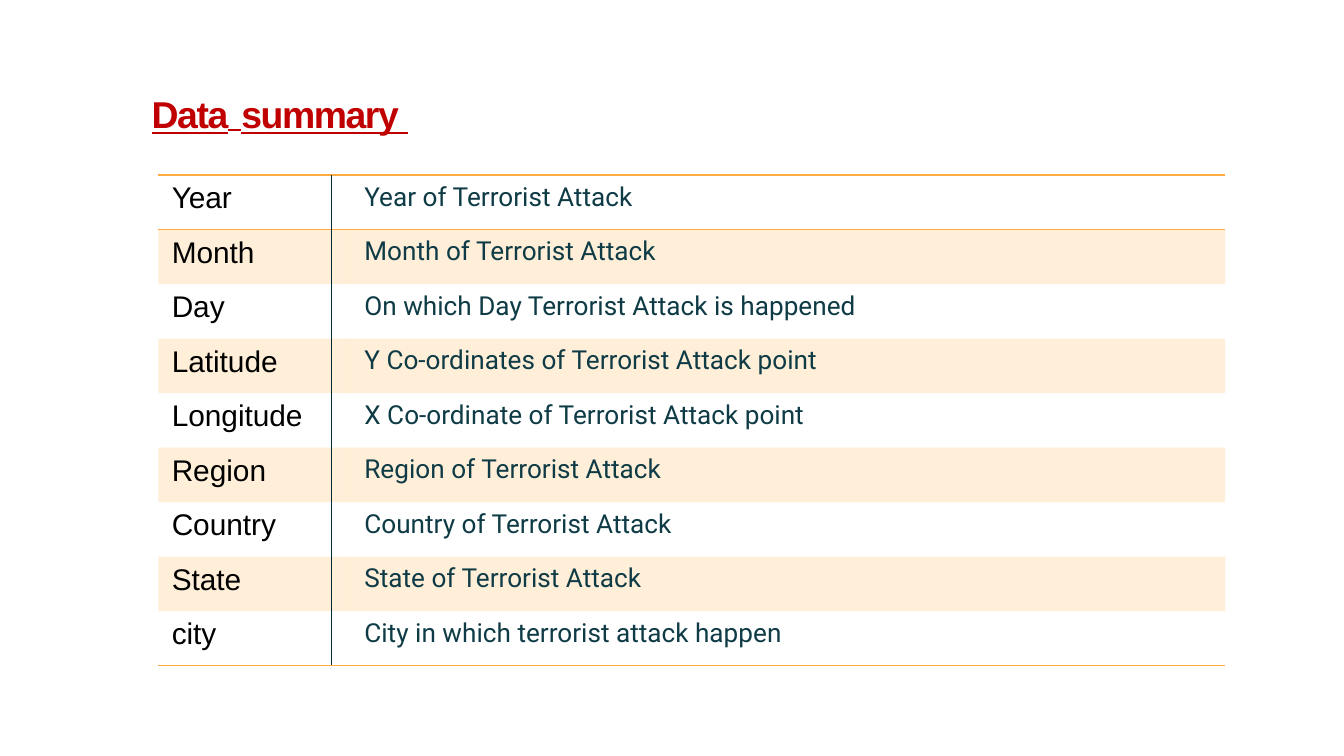
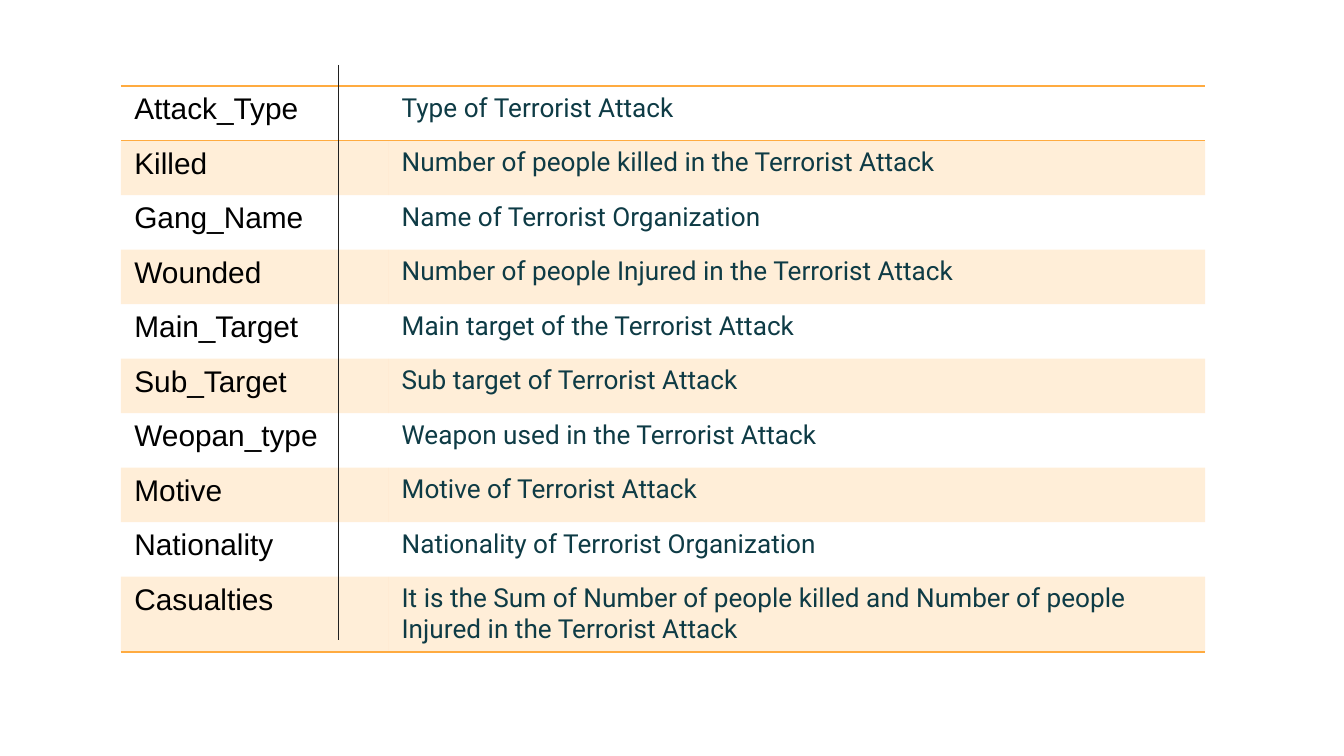
from dataclasses import dataclass

from lxml import etree
from pptx import Presentation
from pptx import util as u
from pptx.dml import color
from pptx.enum import shapes, text
from pptx.oxml import ns

HUES = {"title": "C00000", "band": "FFAB40", "key": "000000", "note": "0E3B45",
        "teal": "002832", "dark": "202020"}
KEY = {"size": u.Pt(16), "name": "Arial"}
NOTE = {"size": u.Pt(14), "name": "Roboto"}
HEAD = {"size": u.Pt(20), "bold": True, "underline": True}
PLAIN = "{2D5ABB26-0587-4C30-8999-92F81FD0307C}"
ROW = 29.2


@dataclass
class Rule:
    x: float
    top: float
    end: float
    hue: str


@dataclass
class Grid:
    left: float
    top: float
    cols: tuple[float, float]
    rows: list[tuple[str, str]]
    rule: Rule


def style(font, look: dict, hue: str) -> None:
    for key, val in look.items():
        setattr(font, key, val)
    font.color.rgb = color.RGBColor.from_string(HUES[hue])


def add(node, tag: str, **attrs: str):
    return etree.SubElement(node, ns.qn(tag), attrs)


def edge(cell, sides: str) -> None:
    props = cell._tc.get_or_add_tcPr()
    for spot, side in enumerate(sides):
        line = add(props, f"a:ln{side}", w=str(u.Pt(1)))
        add(add(line, "a:solidFill"), "a:srgbClr", val=HUES["band"])
        props.insert(spot, line)


def tint(cell) -> None:
    cell.fill.solid()
    cell.fill.fore_color.rgb = color.RGBColor.from_string(HUES["band"])
    add(cell._tc.tcPr.find(".//" + ns.qn("a:srgbClr")), "a:alpha", val="20000")


def draw_title(slide) -> None:
    box = slide.shapes.add_textbox(u.Pt(80.6), u.Pt(48.2), u.Pt(139), u.Pt(25.2))
    frame = box.text_frame
    look = {"margin_left": 0, "margin_right": 0, "margin_bottom": 0,
            "margin_top": u.Pt(0.7), "word_wrap": True,
            "auto_size": text.MSO_AUTO_SIZE.SHAPE_TO_FIT_TEXT}
    for key, val in look.items():
        setattr(frame, key, val)
    para = frame.paragraphs[0]
    para.space_before = u.Pt(1)
    para._p.get_or_add_pPr().set("marL", str(u.Pt(0.7)))
    for words, name in (("Data", "Arial"), (" ", "DejaVu Sans"), ("summary ", "Arial")):
        run = para.add_run()
        run.text = words
        style(run.font, HEAD | {"name": name}, "title")
        run._r.get_or_add_rPr().set("spc", "-80")


def draw_rule(slide, rule: Rule) -> None:
    line = slide.shapes.add_connector(
        shapes.MSO_CONNECTOR.STRAIGHT,
        u.Pt(rule.x), u.Pt(rule.top), u.Pt(rule.x), u.Pt(rule.end))
    line.line.width = u.Pt(0.75)
    line.line.color.rgb = color.RGBColor.from_string(HUES[rule.hue])
    add(line._element.spPr, "a:effectLst")


def draw_grid(slide, grid: Grid) -> None:
    count = len(grid.rows)
    table = slide.shapes.add_table(
        count, 2, u.Pt(grid.left), u.Pt(grid.top),
        u.Pt(sum(grid.cols)), u.Pt(ROW * count)).table
    table.first_row = table.horz_banding = False
    table._tbl.tblPr.find(ns.qn("a:tableStyleId")).text = PLAIN
    for col, width in zip(table.columns, grid.cols):
        col.width = u.Pt(width)
    for num, words in enumerate(grid.rows):
        table.rows[num].height = u.Pt(ROW)
        for col, (look, hue) in enumerate(((KEY, "key"), (NOTE, "note"))):
            cell = table.cell(num, col)
            run = cell.text_frame.paragraphs[0].add_run()
            run.text = words[col]
            style(run.font, look, hue)
            if num % 2:
                tint(cell)
            else:
                cell.fill.background()
            if num == 0:
                edge(cell, "TB")
            elif num == count - 1:
                edge(cell, "B")
    draw_rule(slide, grid.rule)


BASE = Grid(84.8, 93.8, (103.2, 468.3), [
    ("Year", "Year of Terrorist Attack"),
    ("Month", "Month of Terrorist Attack"),
    ("Day", "On which Day Terrorist Attack is happened"),
    ("Latitude", "Y Co-ordinates of Terrorist Attack point"),
    ("Longitude", "X Co-ordinate of Terrorist Attack point"),
    ("Region", "Region of Terrorist Attack"),
    ("Country", "Country of Terrorist Attack"),
    ("State", "State of Terrorist Attack"),
    ("city", "City in which terrorist attack happen"),
], Rule(177.7, 93.8, 356.4, "teal"))

MORE = Grid(64.8, 46.1, (143.2, 437.6), [
    ("Attack_Type ", "Type of Terrorist Attack"),
    ("Killed", "Number of people killed in the Terrorist Attack"),
    ("Gang_Name ", "Name of Terrorist Organization"),
    ("Wounded", "Number of people Injured in the Terrorist Attack"),
    ("Main_Target ", "Main target of the Terrorist Attack"),
    ("Sub_Target ", "Sub target of Terrorist Attack"),
    ("Weopan_type ", "Weapon used in the Terrorist Attack"),
    ("Motive", "Motive of Terrorist Attack"),
    ("Nationality", "Nationality of Terrorist Organization"),
    ("Casualties", "It is the Sum of Number of people killed and "
     "Number of people Injured in the Terrorist Attack"),
], Rule(181.4, 34.8, 342.7, "dark"))

deck = Presentation()
deck.slide_width, deck.slide_height = u.Pt(720), u.Pt(405)
blank = deck.slide_layouts[6]
first = deck.slides.add_slide(blank)
draw_title(first)
draw_grid(first, BASE)
draw_grid(deck.slides.add_slide(blank), MORE)
deck.save("out.pptx")
